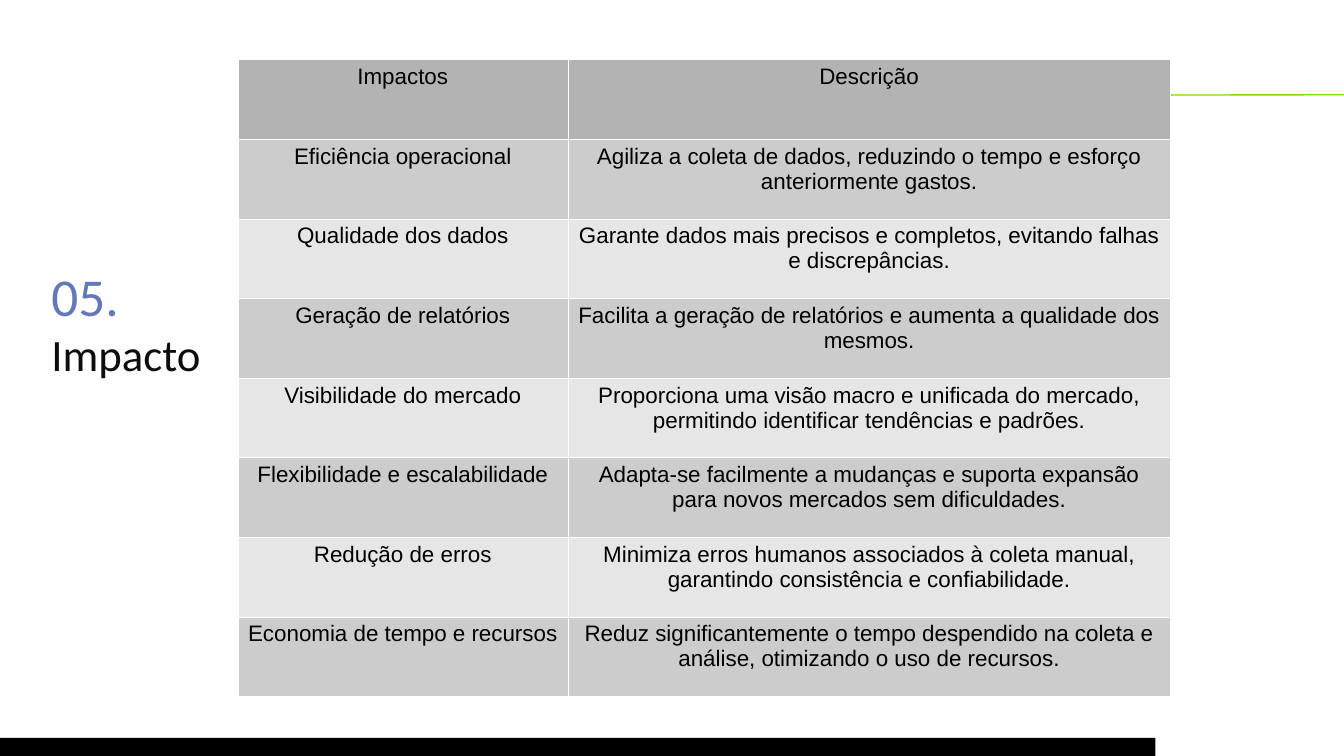
from lxml import etree
from pptx import Presentation
from pptx.dml.color import RGBColor
from pptx.enum.shapes import MSO_CONNECTOR, MSO_SHAPE
from pptx.enum.text import MSO_ANCHOR, MSO_AUTO_SIZE, PP_ALIGN
from pptx.oxml.ns import qn
from pptx.util import Inches, Pt

STRAIGHT, RECTANGLE = MSO_CONNECTOR.STRAIGHT, MSO_SHAPE.RECTANGLE
LEFT, CENTER, TOP = PP_ALIGN.LEFT, PP_ALIGN.CENTER, MSO_ANCHOR.TOP
TITLE_ONLY = 5

COLORS = {
    "number": "6378B9", "title": "0D0D0D", "accent": "7DDD00", "footer": "000000",
    "text": "000000", "border": "FFFFFF",
    "header": "B3B3B3", "odd": "CCCCCC", "even": "E6E6E6",
}

IMPACTS = [
    ("Impactos", "Descrição"),
    ("Eficiência operacional",
     "Agiliza a coleta de dados, reduzindo o tempo e esforço anteriormente gastos."),
    ("Qualidade dos dados",
     "Garante dados mais precisos e completos, evitando falhas e discrepâncias."),
    ("Geração de relatórios",
     "Facilita a geração de relatórios e aumenta a qualidade dos mesmos."),
    ("Visibilidade do mercado",
     "Proporciona uma visão macro e unificada do mercado, "
     "permitindo identificar tendências e padrões."),
    ("Flexibilidade e escalabilidade",
     "Adapta-se facilmente a mudanças e suporta expansão "
     "para novos mercados sem dificuldades."),
    ("Redução de erros",
     "Minimiza erros humanos associados à coleta manual, "
     "garantindo consistência e confiabilidade."),
    ("Economia de tempo e recursos",
     "Reduz significantemente o tempo despendido na coleta e análise, "
     "otimizando o uso de recursos."),
]


class SlideBuilder:
    title_font, table_font = "Calibri", "Arial"
    table_size, border_width = 16, 0.06

    def __init__(self, slide):
        self.slide = slide

    def color(self, name):
        return RGBColor.from_string(COLORS[name])

    def format_paragraph(self, paragraph, font, size, color, align):
        paragraph.alignment = align
        paragraph.font.name = font
        paragraph.font.size = Pt(size)
        paragraph.font.color.rgb = self.color(color)

    def title(self, box, lines):
        heading = self.slide.shapes.title
        heading.left, heading.top, heading.width, heading.height = map(Inches, box)
        frame = heading.text_frame
        frame.word_wrap = True
        frame.auto_size = MSO_AUTO_SIZE.NONE
        frame.vertical_anchor = TOP
        frame.text = "\n".join(text for text, _, _ in lines)
        for paragraph, (_, size, color) in zip(frame.paragraphs, lines):
            paragraph.line_spacing = 1.0
            self.format_paragraph(paragraph, self.title_font, size, color, LEFT)

    def line(self, start, end, color, width):
        rule = self.slide.shapes.add_connector(
            STRAIGHT, *map(Inches, (*start, *end)))
        rule.line.color.rgb = self.color(color)
        rule.line.width = Pt(width)
        etree.SubElement(rule._element.spPr, qn("a:effectLst"))

    def bar(self, box, color):
        bar = self.slide.shapes.add_shape(RECTANGLE, *map(Inches, box))
        bar.shadow.inherit = False
        bar.fill.solid()
        bar.fill.fore_color.rgb = self.color(color)
        bar.line.fill.background()

    def border(self, cell):
        properties = cell._tc.get_or_add_tcPr()
        for position, side in enumerate(("lnL", "lnR", "lnT", "lnB")):
            edge = etree.Element(qn(f"a:{side}"), w=str(Pt(self.border_width)))
            fill = etree.SubElement(edge, qn("a:solidFill"))
            etree.SubElement(fill, qn("a:srgbClr"), val=COLORS["border"])
            properties.insert(position, edge)

    def table(self, left, top, widths, row_height, rows):
        table = self.slide.shapes.add_table(
            len(rows), len(widths), Inches(left), Inches(top),
            Inches(sum(widths)), Inches(row_height * len(rows))).table
        for column, width in zip(table.columns, widths):
            column.width = Inches(width)
        for index, texts in enumerate(rows):
            table.rows[index].height = Inches(row_height)
            shade = "header" if index == 0 else "odd" if index % 2 else "even"
            for cell, text in zip(table.rows[index].cells, texts):
                cell.text = text
                cell.fill.solid()
                cell.fill.fore_color.rgb = self.color(shade)
                self.border(cell)
                paragraph = cell.text_frame.paragraphs[0]
                self.format_paragraph(
                    paragraph, self.table_font, self.table_size, "text", CENTER)
                paragraph.font.bold = False


def main():
    presentation = Presentation()
    presentation.slide_width = Inches(13.33)
    presentation.slide_height = Inches(7.5)
    layout = presentation.slide_layouts[TITLE_ONLY]
    builder = SlideBuilder(presentation.slides.add_slide(layout))

    # Section title
    builder.title((0.41, 2.56, 2.33, 1.27),
                  [("05.", 38, "number"), ("Impacto", 32, "title")])

    # Accent line and footer bar
    builder.line((13.33, 0.94), (7.96, 0.95), "accent", 1)
    builder.bar((0, 7.32, 11.46, 0.18), "footer")

    # Impact table
    builder.table(2.36, 0.59, (3.27, 5.98), 0.79, IMPACTS)

    presentation.save("out.pptx")


if __name__ == "__main__":
    main()
